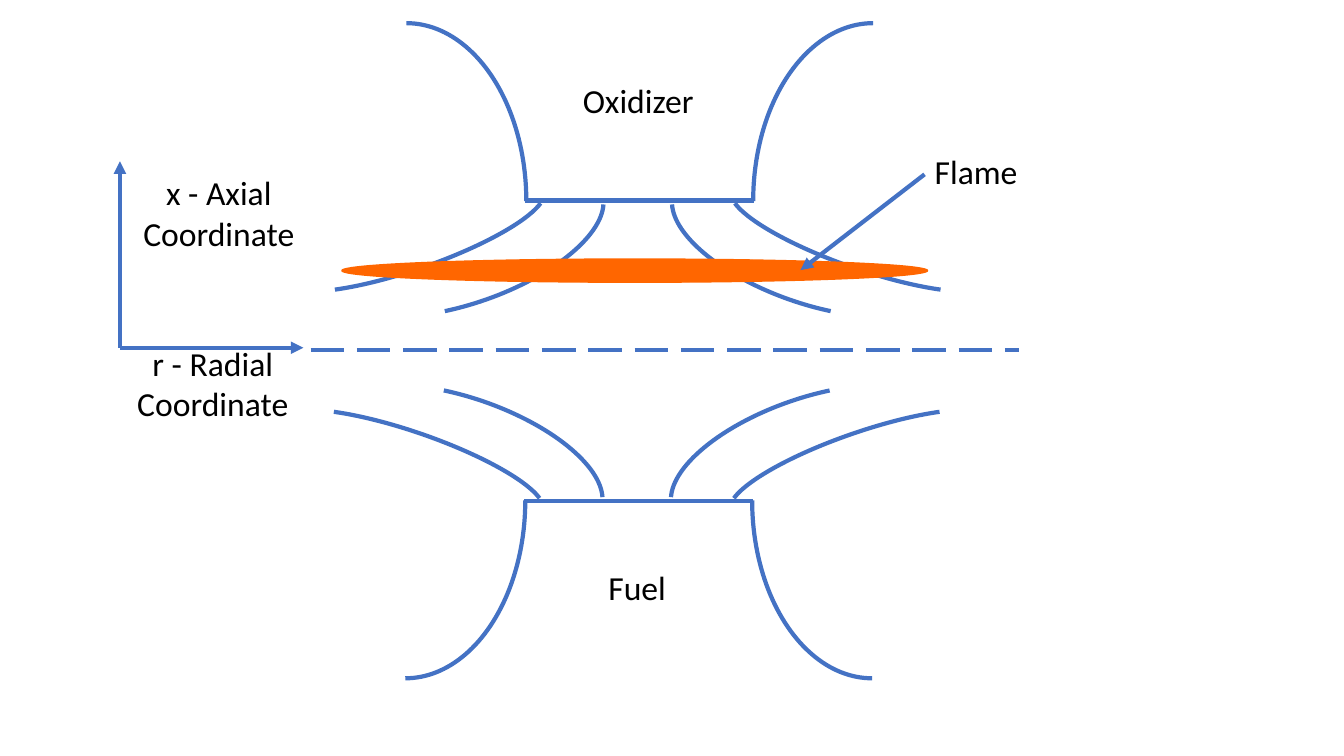
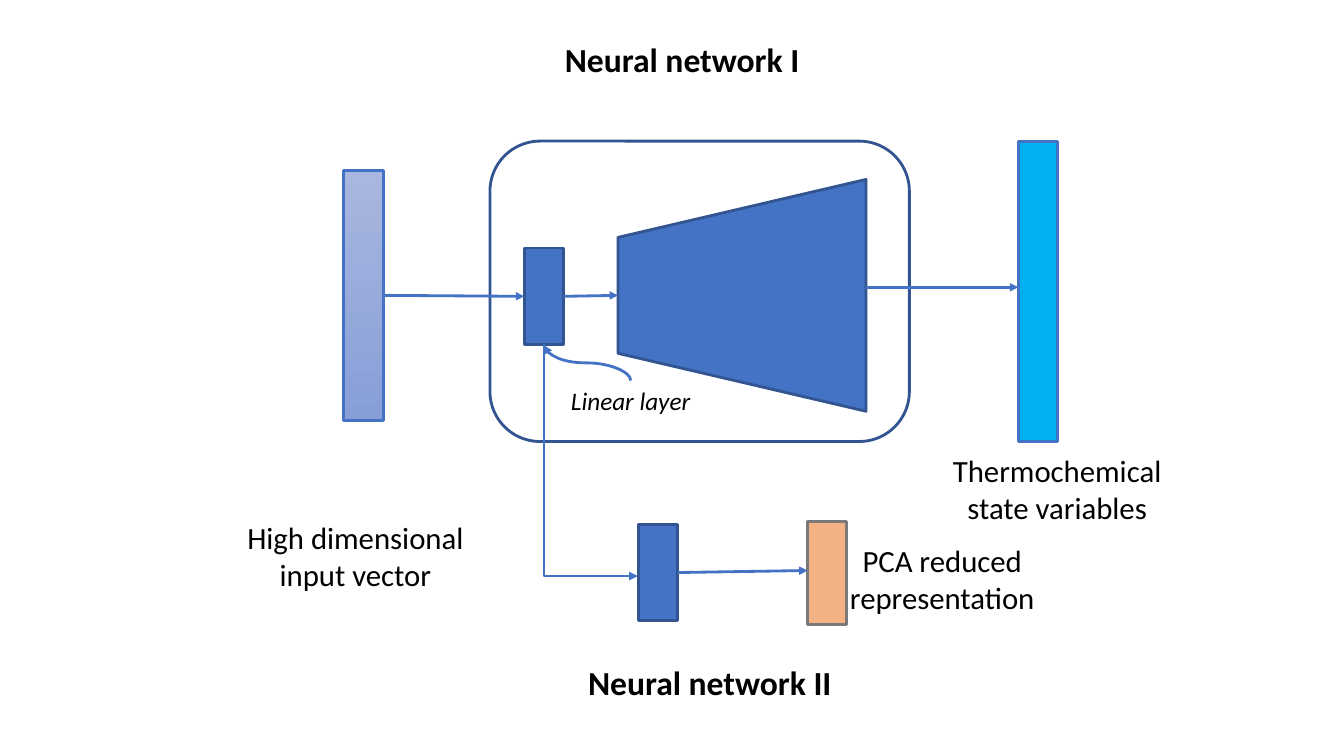
from dataclasses import dataclass

from lxml import etree
from pptx import Presentation
from pptx import util as u
from pptx.dml import color
from pptx.enum import dml, shapes, text
from pptx.oxml import ns
from pptx.slide import Slide

PX = 9144  # EMU per px, 100 px to the inch


@dataclass(frozen=True)
class Theme:
    font: str = "Calibri"
    ink: str = "000000"
    blue: str = "4472C4"
    navy: str = "325491"
    cyan: str = "00B0F0"
    peach: str = "F4B183"
    grey: str = "7A7A7A"
    flame: str = "FF6600"
    fade: tuple[str, str] = ("A8B7DF", "889ED7")
    large: int = 24
    medium: int = 22
    small: int = 18
    thick: int = 3
    thin: int = 2
    hairline: int = 1


T = Theme()


@dataclass(frozen=True)
class Label:
    x: int
    y: int
    w: int
    h: int
    words: str
    size: int = T.large
    bold: bool = False
    italic: bool = False


@dataclass(frozen=True)
class Block:
    x: int
    y: int
    w: int
    h: int
    fill: str | tuple[str, str] | None
    edge: str = T.navy
    kind: shapes.MSO_SHAPE = shapes.MSO_SHAPE.RECTANGLE
    weight: int = T.thin
    turn: float = 0


@dataclass(frozen=True)
class Line:
    x1: int
    y1: int
    x2: int
    y2: int
    weight: int = T.thin
    arrow: bool = True
    dash: dml.MSO_LINE | None = None


@dataclass(frozen=True)
class Bend:
    """A turned connector, given by its box before the turn."""
    x: int
    y: int
    w: int
    h: int
    preset: str
    flip: str
    turn: int = 270


@dataclass(frozen=True)
class Curve:
    """An arc drawn four times: left and right, above and below."""
    left: int
    right: int
    above: int
    below: int
    w: int
    h: int
    turn: float = 0
    start: float = 270
    end: float = 0


def rgb(code: str) -> color.RGBColor:
    return color.RGBColor.from_string(code)


def add_label(s: Slide, label: Label) -> None:
    sp = s.shapes.add_textbox(*(v * PX for v in (label.x, label.y, label.w, label.h)))
    tf = sp.text_frame
    tf.word_wrap = True
    tf.auto_size = text.MSO_AUTO_SIZE.SHAPE_TO_FIT_TEXT
    p = tf.paragraphs[0]
    p.alignment = text.PP_ALIGN.CENTER
    r = p.add_run()
    r.text = label.words
    r.font.name = T.font
    r.font.size = u.Pt(label.size)
    r.font.bold = label.bold
    r.font.italic = label.italic
    r.font.color.rgb = rgb(T.ink)


def add_block(s: Slide, b: Block):
    sp = s.shapes.add_shape(b.kind, *(v * PX for v in (b.x, b.y, b.w, b.h)))
    sp.shadow.inherit = False
    sp.rotation = b.turn
    if b.fill is None:
        sp.fill.background()
    elif isinstance(b.fill, tuple):
        sp.fill.gradient()
        sp.fill.gradient_angle = 270
        for stop, code in zip(sp.fill.gradient_stops, b.fill):
            stop.color.rgb = rgb(code)
    else:
        sp.fill.solid()
        sp.fill.fore_color.rgb = rgb(b.fill)
    sp.line.color.rgb = rgb(b.edge)
    sp.line.width = u.Pt(b.weight)
    return sp


def add_line(s: Slide, line: Line, kind=shapes.MSO_CONNECTOR.STRAIGHT):
    cx = s.shapes.add_connector(kind, *(v * PX for v in (line.x1, line.y1, line.x2, line.y2)))
    cx.line.color.rgb = rgb(T.blue)
    cx.line.width = u.Pt(line.weight)
    if line.dash:
        cx.line.dash_style = line.dash
    if line.arrow:
        ln = cx.line._get_or_add_ln()
        etree.SubElement(ln, ns.qn("a:tailEnd"), type="triangle")
    etree.SubElement(cx._element.spPr, ns.qn("a:effectLst"))
    return cx


def add_bend(s: Slide, b: Bend) -> None:
    cx = add_line(s, Line(b.x, b.y, b.x + b.w, b.y + b.h), shapes.MSO_CONNECTOR.ELBOW)
    spPr = cx._element.spPr
    spPr.find(ns.qn("a:prstGeom")).set("prst", b.preset)
    xfrm = spPr.find(ns.qn("a:xfrm"))
    xfrm.set("rot", str(b.turn * 60000))
    xfrm.set(b.flip, "1")


def add_curves(s: Slide, c: Curve) -> None:
    """Mirror the arc; one mirroring alone also reverses its turn."""
    for below, y in enumerate((c.above, c.below)):
        for right, x in enumerate((c.left, c.right)):
            turn = (360 - c.turn) % 360 if right != below else c.turn
            sp = add_block(s, Block(x - below, y, c.w, c.h, None, T.blue,
                                    shapes.MSO_SHAPE.ARC, T.thick, turn))
            for i, angle in enumerate((c.start, c.end)):
                sp.adjustments[i] = angle * 0.6  # 60000ths of a degree over 100000
            xfrm = sp._element.spPr.find(ns.qn("a:xfrm"))
            if right:
                xfrm.set("flipH", "1")
            if below:
                xfrm.set("flipV", "1")


def draw_burner(s: Slide) -> None:
    nozzle = Curve(284, 747, 23, 320, 238, 353)
    outer_stream = Curve(271, 718, 203, 429, 276, 64, 160.9, 184.39, 344.85)
    inner_stream = Curve(316, 660, 177, 395, 289, 124, 160.9, 184.39, 304.61)
    for curve in (nozzle, outer_stream, inner_stream):
        add_curves(s, curve)
    add_block(s, Block(339, 257, 581, 23, T.flame, T.flame,
                       shapes.MSO_SHAPE.OVAL, T.hairline))

    stagnation_plane = Line(308, 347, 1011, 347, T.thick, False, dml.MSO_LINE.LONG_DASH)
    oxidizer_exit = Line(521, 199, 748, 199, T.thick, False)
    fuel_exit = Line(520, 497, 747, 497, T.thick, False)
    flame_pointer = Line(917, 173, 794, 268, T.thick)
    x_axis = Line(119, 345, 119, 160, T.thick)
    r_axis = Line(119, 345, 301, 345, T.thick)
    for line in (stagnation_plane, oxidizer_exit, fuel_exit, flame_pointer, x_axis, r_axis):
        add_line(s, line)

    for label in (
        Label(514, 74, 238, 50, "Oxidizer"),
        Label(513, 558, 238, 50, "Fuel"),
        Label(849, 145, 238, 50, "Flame"),
        Label(98, 166, 238, 91, "x - Axial Coordinate"),
        Label(92, 335, 238, 91, "r - Radial Coordinate"),
    ):
        add_label(s, label)


def draw_networks(s: Slide) -> None:
    bar = 39
    frame = Block(486, 140, 416, 298, None, kind=shapes.MSO_SHAPE.ROUNDED_RECTANGLE)
    decoder = Block(621, 170, 230, 246, T.blue, kind=shapes.MSO_SHAPE.TRAPEZOID, turn=270)
    input_vector = Block(341, 169, bar, 248, T.fade, T.blue)
    linear_layer = Block(520, 246, bar, 96, T.blue)
    state = Block(1010, 140, bar, 298, T.cyan, T.blue)
    second_layer = Block(633, 520, bar, 96, T.blue)
    reduced = Block(801, 517, bar, 103, T.peach, T.grey)
    for block in (frame, decoder, input_vector, linear_layer, state, second_layer, reduced):
        add_block(s, block)

    for line in (
        Line(380, 293, 520, 294),
        Line(559, 294, 613, 293),
        Line(859, 285, 1010, 285),
        Line(672, 568, 801, 566),
    ):
        add_line(s, line)
    add_bend(s, Bend(471, 410, 230, 93, "bentConnector2", "flipH"))
    add_bend(s, Bend(565, 317, 35, 86, "curvedConnector3", "flipV"))

    for label in (
        Label(539, 34, 275, 50, "Neural network I", bold=True),
        Label(568, 652, 272, 50, "Neural network II", bold=True),
        Label(232, 510, 241, 84, "High dimensional input vector", T.medium),
        Label(928, 443, 241, 84, "Thermochemical state variables", T.medium),
        Label(814, 533, 241, 84, "PCA reduced representation", T.medium),
        Label(505, 377, 241, 40, "Linear layer", T.small, italic=True),
    ):
        add_label(s, label)


def main() -> None:
    prs = Presentation()
    prs.slide_width, prs.slide_height = 1333 * PX, 750 * PX
    for draw in (draw_burner, draw_networks):
        draw(prs.slides.add_slide(prs.slide_layouts[6]))
    prs.save("out.pptx")


if __name__ == "__main__":
    main()
